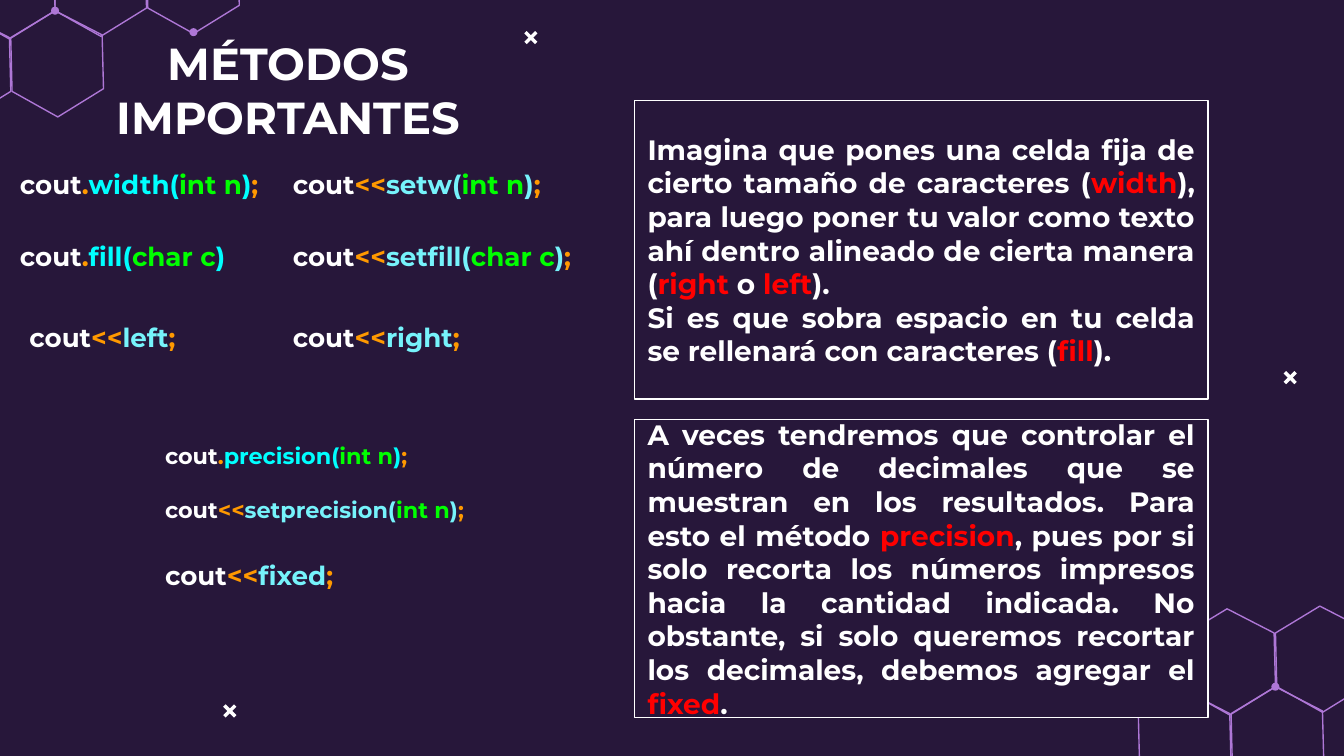
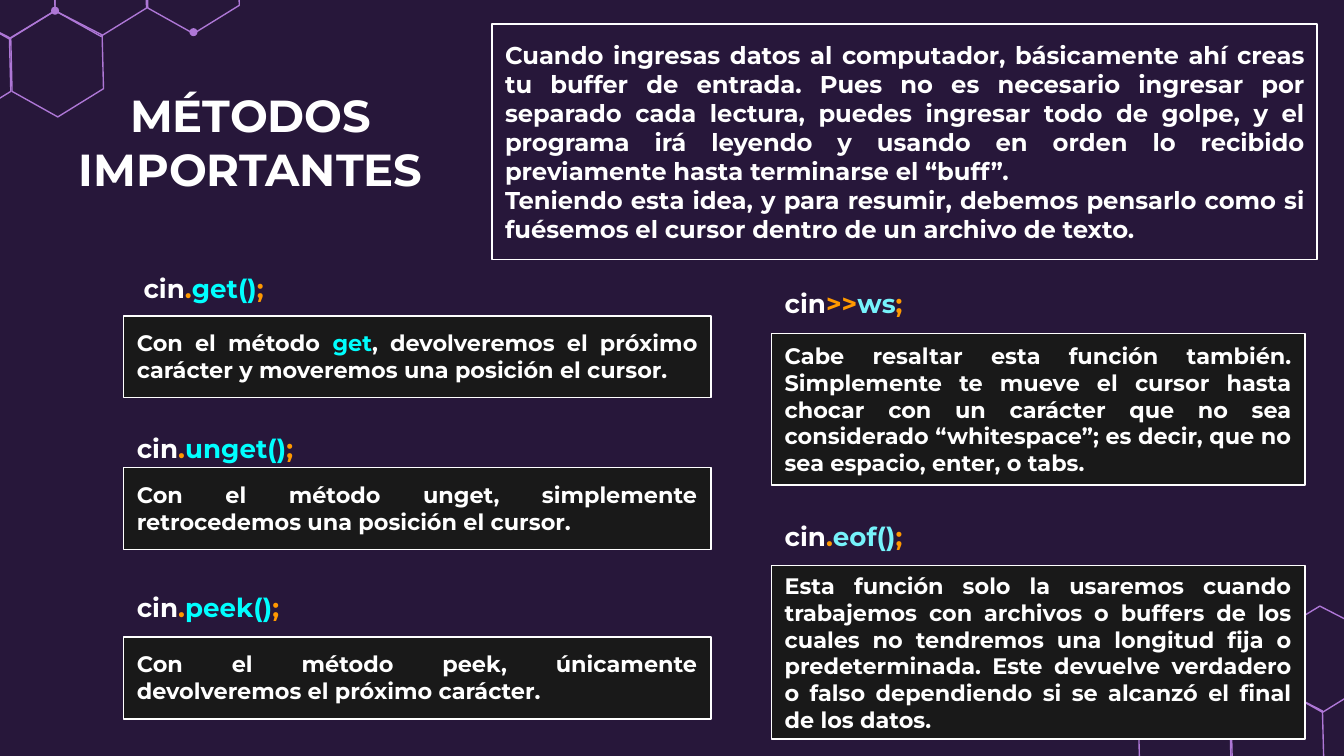
from lxml.etree import SubElement
from pptx import Presentation
from pptx.dml.color import RGBColor
from pptx.enum.shapes import MSO_CONNECTOR as Link, MSO_SHAPE as Kind
from pptx.enum.text import MSO_ANCHOR as Anchor, MSO_AUTO_SIZE as Fit, PP_ALIGN as Align
from pptx.oxml.ns import qn
from pptx.util import Inches, Pt

FONT = "Montserrat"
NIGHT, COAL, LILAC, WHITE = "27173A", "191919", "AE77D6", "FFFFFF"
AMBER, LIME, CYAN, ICE, RED = "FF9900", "00FF00", "00FFFF", "76F3FB", "FF0000"
TONES = {"cout": WHITE, "cin": WHITE, ".": AMBER, "<<": AMBER, ">>": AMBER,
         ";": AMBER, "int n": LIME, "char c": LIME}
HEX = [(0, 0), (-0.01, -0.4), (-0.36, -0.58),
       (-0.69, -0.38), (-0.68, 0.02), (-0.34, 0.21)]


def rgb(tone):
    """Turn a hex string into a colour."""
    return RGBColor.from_string(tone)


def inch(*sizes):
    """Turn numbers into lengths."""
    return [Inches(size) for size in sizes]


def code(line, accent):
    """Colour the parts of a line of code by their role."""
    return [[(part, TONES.get(part, accent)) for part in line.split("|")]]


def prose(text, accent):
    """Colour every second part of each paragraph with the accent."""
    return [[(part, accent if i % 2 else WHITE) for i, part in enumerate(line.split("|"))]
            for line in text.split("\n")]


def write(shape, lines, size=14, align=Align.LEFT, anchor=Anchor.TOP, grow=False):
    """Fill a shape with paragraphs of coloured runs."""
    frame = shape.text_frame
    frame.word_wrap = True
    frame.auto_size = Fit.SHAPE_TO_FIT_TEXT if grow else Fit.NONE
    frame.vertical_anchor = anchor
    frame.margin_left = frame.margin_right = Inches(0.1)
    frame.margin_top = frame.margin_bottom = Inches(0.1)
    for i, line in enumerate(lines):
        para = frame.add_paragraph() if i else frame.paragraphs[0]
        para.alignment = align
        for text, tone in line:
            run = para.add_run()
            run.text = text
            font = run.font
            font.name, font.size, font.bold = FONT, Pt(size), True
            font.color.rgb = rgb(tone)


def title(slide, x, y):
    """Place the slide title."""
    box = slide.shapes.add_textbox(*inch(x, y, 3.45, 0.97))
    write(box, prose("MÉTODOS IMPORTANTES", WHITE), size=24,
          align=Align.CENTER, anchor=Anchor.MIDDLE)


def call(slide, x, y, w, line, accent=ICE, size=14):
    """Place one line of code."""
    box = slide.shapes.add_textbox(*inch(x, y, w, 0.44 if size == 14 else 0.4))
    write(box, code(line, accent), size=size, grow=True)


def card(slide, x, y, w, h, text, size, fill=NIGHT, accent=RED,
         anchor=Anchor.MIDDLE, grow=False):
    """Place a framed block of justified prose."""
    box = slide.shapes.add_shape(Kind.RECTANGLE, *inch(x, y, w, h))
    box.shadow.inherit = False
    box.fill.solid()
    box.fill.fore_color.rgb = rgb(fill)
    box.line.color.rgb = rgb(WHITE)
    box.line.width = Pt(0.75)
    write(box, prose(text, accent), size=size, align=Align.JUSTIFY,
          anchor=anchor, grow=grow)


def note(slide, x, y, w, h, line, text, accent=CYAN, rise=0.44, shift=0, grow=False):
    """Place a dark card with its line of code above."""
    call(slide, x + shift, y - rise, 2.03 if grow else 1.75, line, accent)
    card(slide, x, y, w, h, text, 12, COAL, CYAN,
         Anchor.TOP if grow else Anchor.MIDDLE, grow)


def comb(slide, x, y, cells, dots):
    """Draw outlined hexagons and dots from a corner point."""
    for cx, cy in cells:
        spots = [inch(x + cx + dx, y + cy + dy) for dx, dy in HEX]
        path = slide.shapes.build_freeform(*spots[0])
        path.add_line_segments(spots[1:], close=True)
        cell = path.convert_to_shape()
        cell.shadow.inherit = False
        cell.fill.background()
        cell.line.color.rgb = rgb(LILAC)
        cell.line.width = Pt(0.75)
    for dx, dy in dots:
        dot = slide.shapes.add_shape(Kind.OVAL, *inch(x + dx - 0.03, y + dy - 0.03, 0.06, 0.06))
        dot.shadow.inherit = False
        dot.fill.solid()
        dot.fill.fore_color.rgb = rgb(LILAC)
        dot.line.fill.background()


def cross(slide, x, y, size=0.08):
    """Draw a small cross from two lines."""
    for top, end in ((y, y + size), (y + size, y)):
        bar = slide.shapes.add_connector(Link.STRAIGHT, *inch(x, top, x + size, end))
        bar.line.color.rgb = rgb(WHITE)
        bar.line.width = Pt(1.84)
        SubElement(bar._element.spPr, qn("a:effectLst"))


def start(deck, cells, dots):
    """Add a slide with the shared backdrop."""
    slide = deck.slides.add_slide(deck.slide_layouts[6])
    slide.background.fill.solid()
    slide.background.fill.fore_color.rgb = rgb(NIGHT)
    comb(slide, 0, 0, [(0.41, 0.08), (1.09, 0.06), (1.78, 0.04), (0.08, 0.68), (0.77, 0.66)],
         [(0.41, 0.08), (1.44, 0.24)])
    comb(slide, 8.4, 4.5, [(1.78, 0.59), (0.76, 1.21), (1.45, 1.19)] + cells, dots)
    return slide


def output(deck):
    """Build the slide on output methods."""
    slide = start(deck, [(1.09, 0.61)], [(1.09, 0.61)])
    for x, y in ((1.67, 5.25), (9.56, 2.77), (3.91, 0.24)):
        cross(slide, x, y)
    title(slide, 0.42, 0.18)
    for x, y, w, line, accent, size in (
            (0.05, 1.15, 2.03, "cout|.|width(|int n|)|;", CYAN, 14),
            (0.05, 1.69, 2.03, "cout|.|fill(|char c|)", CYAN, 14),
            (0.12, 2.29, 2.32, "cout|<<|left|;", ICE, 14),
            (2.08, 1.15, 2.12, "cout|<<|setw(|int n|)|;", ICE, 14),
            (2.08, 1.69, 2.32, "cout|<<|setfill(|char c|)|;", ICE, 14),
            (2.08, 2.29, 2.32, "cout|<<|right|;", ICE, 14),
            (1.13, 3.19, 2.03, "cout|.|precision(|int n|)|;", CYAN, 12),
            (1.13, 3.59, 2.73, "cout|<<|setprecision(|int n|)|;", ICE, 12),
            (1.13, 4.06, 2.03, "cout|<<|fixed|;", ICE, 14)):
        call(slide, x, y, w, line, accent, size)
    texts = (
        "Imagina que pones una celda fija de cierto tamaño de caracteres (|width|), para luego "
        "poner tu valor como texto ahí dentro alineado de cierta manera (|right| o |left|).\n"
        "Si es que sobra espacio en tu celda se rellenará con caracteres (|fill|).",
        "A veces tendremos que controlar el número de decimales que se muestran en los "
        "resultados. Para esto el método |precision|, pues por si solo recorta los números "
        "impresos hacia la cantidad indicada. No obstante, si solo queremos recortar los "
        "decimales, debemos agregar el |fixed|.")
    for i, text in enumerate(texts):
        card(slide, 4.72, 0.75 + 2.37 * i, 4.27, 2.22, text, 15)


def entry(deck):
    """Build the slide on input methods."""
    slide = start(deck, [], [])
    title(slide, 0.14, 0.57)
    card(slide, 3.66, 0.18, 6.14, 1.75,
         "Cuando ingresas datos al computador, básicamente ahí creas tu buffer de entrada. Pues "
         "no es necesario ingresar por separado cada lectura, puedes ingresar todo de golpe, y "
         "el programa irá leyendo y usando en orden lo recibido previamente hasta terminarse el "
         "“buff”.\nTeniendo esta idea, y para resumir, debemos pensarlo como si fuésemos el "
         "cursor dentro de un archivo de texto.", 13)
    for y, rise, shift, line, text in (
            (2.35, 0.42, 0.05, "cin|.|get()|;",
             "Con el método |get|, devolveremos el próximo carácter y moveremos una posición "
             "el cursor."),
            (3.48, 0.36, 0, "cin|.|unget()|;",
             "Con el método unget, simplemente retrocedemos una posición el cursor."),
            (4.74, 0.44, 0, "cin|.|peek()|;",
             "Con el método peek, únicamente devolveremos el próximo carácter.")):
        note(slide, 0.92, y, 4.37, 0.61, line, text, rise=rise, shift=shift, grow=True)
    for y, h, line, text in (
            (2.48, 1.13, "cin|>>|ws|;",
             "Cabe resaltar esta función también. Simplemente te mueve el cursor hasta chocar "
             "con un carácter que no sea considerado “whitespace”; es decir, que no sea espacio, "
             "enter, o tabs."),
            (4.21, 1.29, "cin|.|eof()|;",
             "Esta función solo la usaremos cuando trabajemos con archivos o buffers de los "
             "cuales no tendremos una longitud fija o predeterminada. Este devuelve verdadero o "
             "falso dependiendo si se alcanzó el final de los datos.")):
        note(slide, 5.74, y, 3.97, h, line, text, ICE)


def main():
    """Build and save the deck."""
    deck = Presentation()
    deck.slide_width = Inches(10)
    deck.slide_height = deck.slide_width * 9 // 16
    output(deck)
    entry(deck)
    deck.save("out.pptx")


if __name__ == "__main__":
    main()
